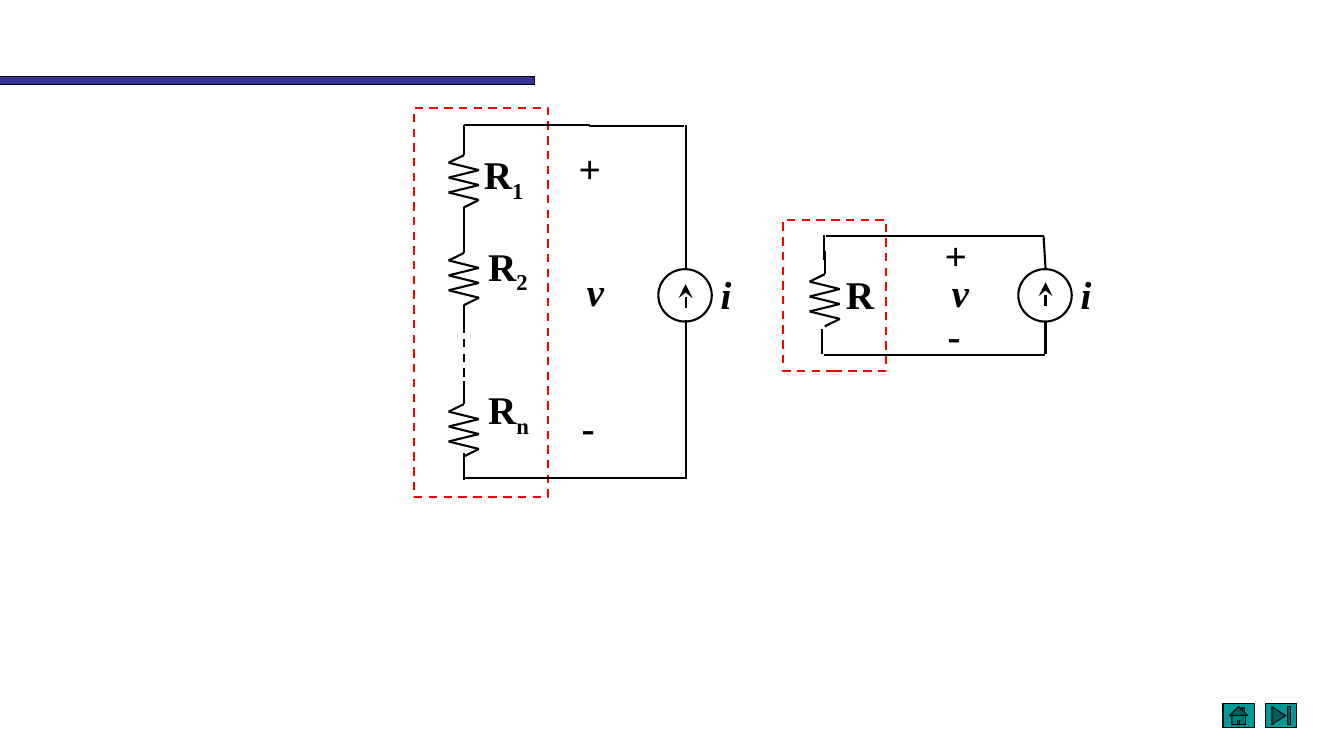
from itertools import pairwise

from lxml import etree
from pptx import Presentation
from pptx.dml.color import RGBColor
from pptx.enum.dml import MSO_LINE
from pptx.enum.shapes import MSO_CONNECTOR, MSO_SHAPE
from pptx.oxml.ns import qn
from pptx.util import Inches, Pt

STRAIGHT = MSO_CONNECTOR.STRAIGHT
DASH = MSO_LINE.DASH
RECTANGLE = MSO_SHAPE.RECTANGLE
OVAL = MSO_SHAPE.OVAL
HOME = MSO_SHAPE.ACTION_BUTTON_HOME
END = MSO_SHAPE.ACTION_BUTTON_END
BLACK, RED, BLUE, TEAL = "000000", "FF0000", "333399", "009999"
FONT = "Times New Roman"
CELL = Inches(0.1)

deck = Presentation()
deck.slide_width = Inches(13.33)
deck.slide_height = Inches(7.5)
page = deck.slides.add_slide(deck.slide_layouts[6])


def draw_line(start, end, dashed=False, arrow=False):
    ends = [round(value * CELL) for value in (*start, *end)]
    wire = page.shapes.add_connector(STRAIGHT, *ends)
    wire.line.color.rgb = RGBColor.from_string(BLACK)
    wire.line.width = Pt(1.5)
    if dashed:
        wire.line.dash_style = DASH
    properties = wire._element.spPr
    if arrow:
        outline = properties.find(qn("a:ln"))
        etree.SubElement(outline, qn("a:tailEnd"), type="stealth", w="lg", len="lg")
    etree.SubElement(properties, qn("a:effectLst"))


def write(text, left, top, width, height, subscript="", italic=False, inset=(1, 0.5)):
    frame_cells = (left, top, width, height)
    box = page.shapes.add_textbox(*[round(value * CELL) for value in frame_cells])
    frame = box.text_frame
    frame.word_wrap = True
    frame.margin_left = frame.margin_right = round(inset[0] * CELL)
    frame.margin_top = frame.margin_bottom = round(inset[1] * CELL)
    para = frame.paragraphs[0]
    for part in filter(None, (text, subscript)):
        span = para.add_run()
        span.text = part
        span.font.name = FONT
        span.font.size = Pt(28)
        span.font.bold = True
        span.font.italic = italic
        span.font.color.rgb = RGBColor.from_string(BLACK)
    if subscript:
        span.font._element.set("baseline", "-25000")


outlines = [
    (RECTANGLE, 0, 7.6, 53, 0.8, BLUE, BLACK, 0.75),
    (HOME, 121.3, 69.8, 3.1, 2.4, TEAL, BLACK, 0.75),
    (END, 125.5, 69.8, 3.1, 2.4, TEAL, BLACK, 0.75),
    (OVAL, 65.3, 26.7, 5.3, 5.2, None, BLACK, 1.5),
    (OVAL, 101, 26.7, 5.3, 5.2, None, BLACK, 1.5),
    (RECTANGLE, 41.1, 10.7, 13.3, 38.6, None, RED, 1.5),
    (RECTANGLE, 77.7, 21.8, 10.2, 15, None, RED, 1.5),
]
for kind, left, top, width, height, fill, color, weight in outlines:
    frame_cells = (left, top, width, height)
    shape = page.shapes.add_shape(kind, *[round(value * CELL) for value in frame_cells])
    shape.shadow.inherit = False
    if fill:
        shape.fill.solid()
        shape.fill.fore_color.rgb = RGBColor.from_string(fill)
    else:
        shape.fill.background()
    shape.line.color.rgb = RGBColor.from_string(color)
    shape.line.width = Pt(weight)
    if color == RED:
        shape.line.dash_style = DASH

wires = [
    ((46, 12.4), (58.5, 12.4)), ((58.4, 12.5), (67.8, 12.5)),
    ((68, 12.4), (68, 26.6)), ((68, 31.7), (68, 47.5)),
    ((46, 47.4), (59.4, 47.4)), ((58.4, 47.4), (67.9, 47.4)),
    ((46, 12.4), (46, 14.9)), ((46, 44.9), (46, 47.4)),
    ((81.9, 23.4), (94.4, 23.4)), ((94.1, 23.4), (103.5, 23.4)),
    ((103.5, 23.4), (103.7, 26.6)), ((103.7, 31.9), (103.7, 35.1)),
    ((81.7, 35.2), (94.2, 35.2)), ((94.2, 35.2), (103.6, 35.2)),
    ((81.7, 23.3), (81.7, 25.8)), ((81.5, 32.6), (81.5, 35.1)),
]
for start, end in wires:
    draw_line(start, end)
draw_line((46, 30.7), (46, 38.2), dashed=True)
for x, y in [(68, 30.6), (103.7, 30.4)]:
    draw_line((x, y), (x, y - 2.4), arrow=True)

swings = [0, -1.5, 1.5, -1.5, 1.5, -1.5, 1.5, 0]
lead = 2.3
for x, top, has_lower_lead in [
    (46, 15.4, True), (46, 25.1, True), (46, 40.1, True), (81.8, 27.2, False)
]:
    zigzag = [(x + swing, top + step * 0.74) for step, swing in enumerate(swings)]
    points = [(x, top - lead), *zigzag]
    if has_lower_lead:
        points.append((x, zigzag[-1][1] + lead))
    for start, end in pairwise(points):
        draw_line(start, end)

for subscript, left, top, width in [
    ("1", 48, 14.9, 6.8), ("2", 48.4, 24, 6.8), ("n", 48.4, 38.2, 6.8), ("", 83.9, 26.8, 5.8)
]:
    write("R", left, top, width, 4.7, subscript=subscript, inset=(0, 0))

for text, left, top, width in [
    ("i", 70.5, 26.3, 3.9), ("v", 57.2, 26, 5.4),
    ("+", 56.4, 13.8, 4.6), ("-", 56.7, 39.5, 4.6),
    ("i", 106.2, 26.3, 3.9), ("v", 93.4, 26.1, 5.4),
    ("+", 92.7, 22.5, 4.6), ("-", 93, 30.4, 4.6),
]:
    write(text, left, top, width, 5.7, italic=text.isalpha())

deck.save("out.pptx")
